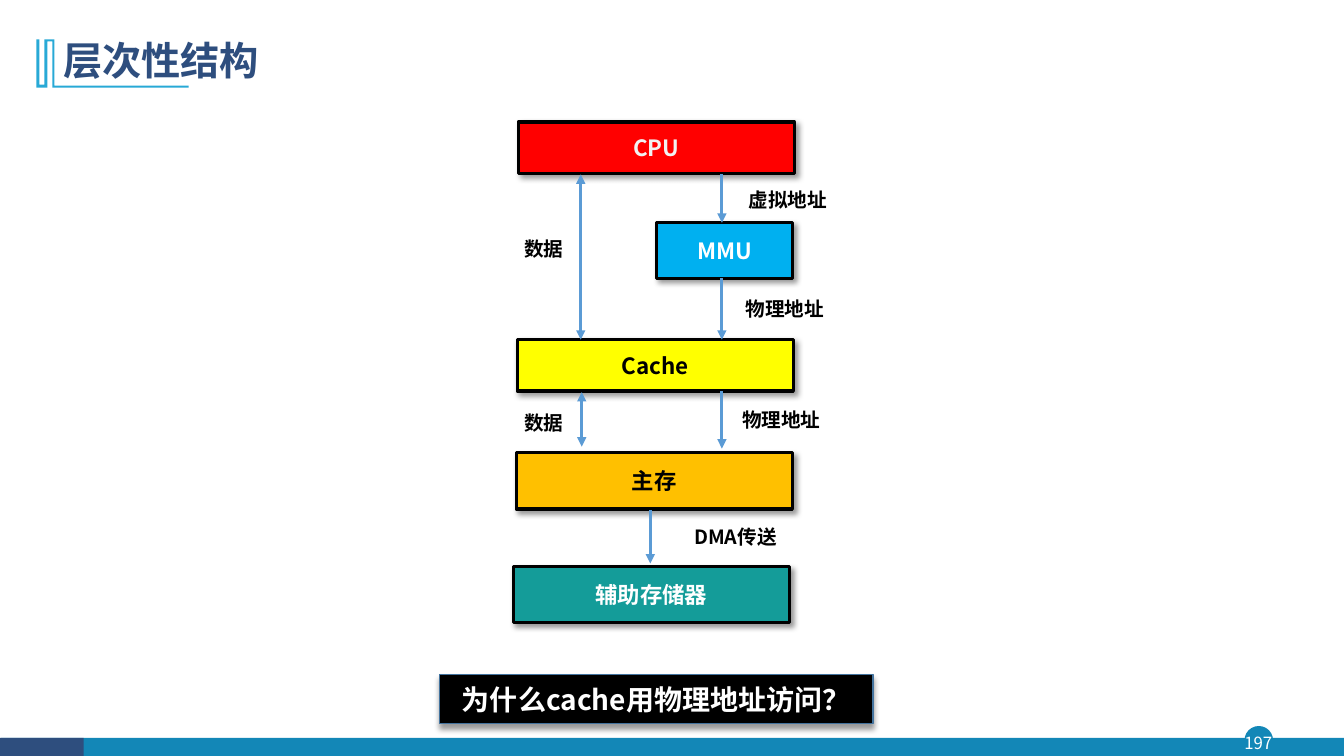
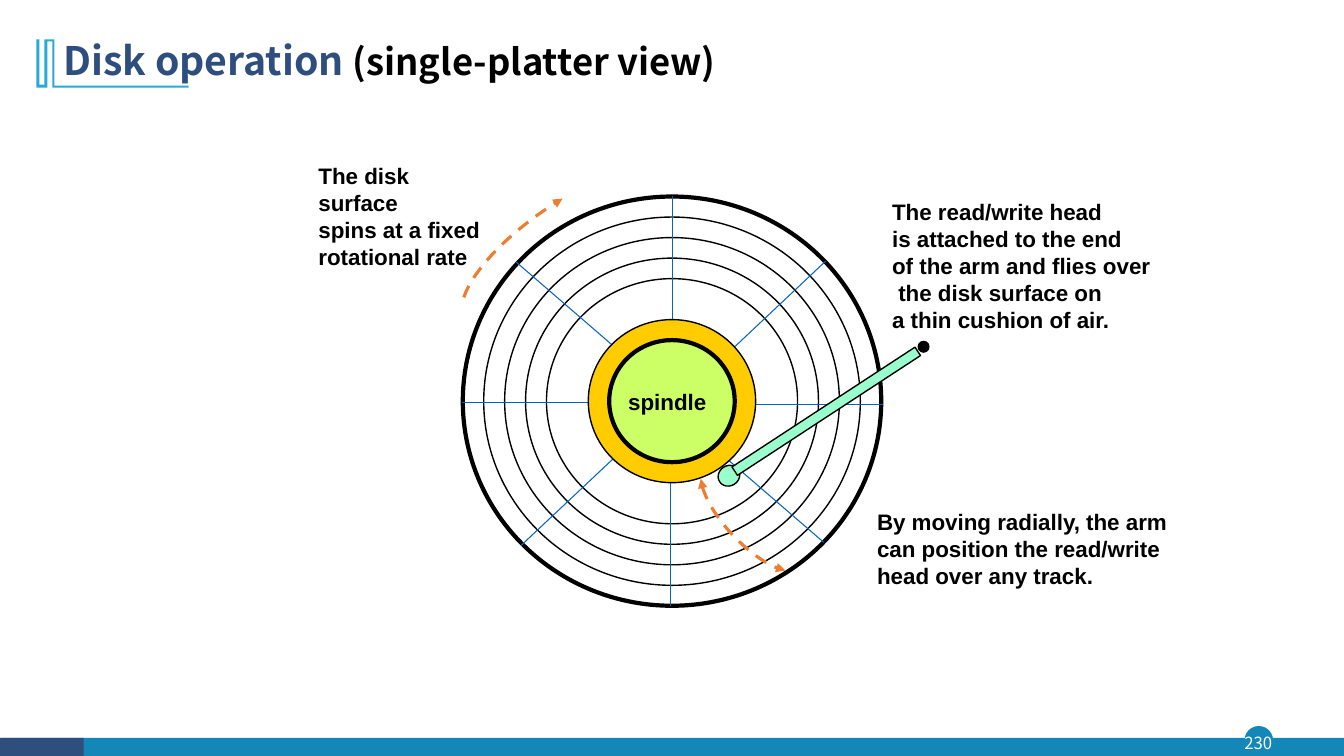
"""Builds two lecture slides: memory hierarchy and disk operation."""
import lxml.etree
import pptx
import pptx.dml.color
import pptx.enum.dml
import pptx.enum.shapes
import pptx.enum.text
import pptx.oxml.ns
import pptx.util

Inches, Pt = pptx.util.Inches, pptx.util.Pt
qn = pptx.oxml.ns.qn
SHAPE = pptx.enum.shapes.MSO_SHAPE
ALIGN = pptx.enum.text.PP_ALIGN
ANCHOR = pptx.enum.text.MSO_ANCHOR

CJK, LATIN = "Noto Sans CJK SC", "Arial"
COLORS = {
    "black": "000000", "white": "FFFFFF", "light": "F2F2F2",
    "navy": "2E4E7E", "footer": "1387B7", "emblem": "28A9D6",
    "cpu": "FF0000", "mmu": "00B0F0", "cache": "FFFF00",
    "memory": "FFC000", "storage": "149C99", "flow": "5B9BD5",
    "question": "43739E", "motion": "ED7D31", "sector": "0563C1",
    "hub": "FFCC00", "spindle": "CCFF66", "arm": "99FFCC",
}
EMBLEM = [
    (0.54, 0.39), (0.54, 0.85), (1.87, 0.85), (1.87, 0.87), (0.52, 0.87),
    (0.52, 0.41), (0.47, 0.41), (0.47, 0.87), (0.36, 0.87), (0.36, 0.39),
    (0.39, 0.39), (0.39, 0.84), (0.44, 0.84), (0.44, 0.39),
]


def rgb(color):
    """Return the named colour."""
    return pptx.dml.color.RGBColor.from_string(COLORS[color])


def set_outline(line, color, width):
    """Colour a line, or remove it when no colour is given."""
    if color is None:
        line.fill.background()
        return
    line.color.rgb = rgb(color)
    line.width = Pt(width)


def set_fill(fill, color):
    """Fill with a solid colour, or leave it open."""
    if color is None:
        fill.background()
    else:
        fill.solid()
        fill.fore_color.rgb = rgb(color)


def add_arrowheads(outline, ends):
    """Put triangles on the named ends of an a:ln element."""
    for end in ends:
        lxml.etree.SubElement(outline, qn(f"a:{end}"), type="triangle")


def add_drop_shadow(shape, angle):
    """Give a shape a soft black shadow falling at an angle in degrees."""
    effects = shape._element.spPr.find(qn("a:effectLst"))
    shadow = lxml.etree.SubElement(
        effects, qn("a:outerShdw"), blurRad=str(Pt(4)), dist=str(Pt(3)),
        dir=str(angle * 60000), algn="tl", rotWithShape="0")
    tint = lxml.etree.SubElement(shadow, qn("a:srgbClr"), val=COLORS["black"])
    lxml.etree.SubElement(tint, qn("a:alpha"), val="40000")


def set_font(paragraph, size, color, face, bold):
    """Set the paragraph font for Latin and East Asian letters."""
    font = paragraph.font
    font.size, font.bold, font.name = Pt(size), bold, face
    font.color.rgb = rgb(color)
    defaults = paragraph._p.pPr.find(qn("a:defRPr"))
    lxml.etree.SubElement(defaults, qn("a:ea"), typeface=face)


def write(shape, lines, size, color="black", face=CJK, bold=True,
          align=ALIGN.CENTER, anchor=ANCHOR.MIDDLE, wrap=True, inset=None):
    """Write one paragraph for each line into a shape."""
    frame = shape.text_frame
    frame.word_wrap, frame.vertical_anchor = wrap, anchor
    if inset is not None:
        frame.margin_left = frame.margin_right = Inches(inset)
        frame.margin_top = frame.margin_bottom = Inches(inset)
    frame.text = "\n".join(lines)
    for paragraph in frame.paragraphs:
        paragraph.alignment = align
        set_font(paragraph, size, color, face, bold)


def add_text(slide, place, lines, size, **style):
    """Add a text box."""
    box = slide.shapes.add_textbox(*map(Inches, place))
    write(box, lines, size, **style)
    return box


def add_shape(slide, kind, place, fill=None, outline=None, width=1, turn=0):
    """Add a flat preset shape."""
    shape = slide.shapes.add_shape(kind, *map(Inches, place))
    shape.shadow.inherit = False
    shape.rotation = turn
    set_fill(shape.fill, fill)
    set_outline(shape.line, outline, width)
    return shape


def add_outline(slide, points, closed):
    """Add a flat freeform through points."""
    corners = [(Inches(x), Inches(y)) for x, y in points]
    builder = slide.shapes.build_freeform(*corners[0], scale=1.0)
    builder.add_line_segments(corners[1:], close=closed)
    shape = builder.convert_to_shape()
    shape.shadow.inherit = False
    return shape


def add_line(slide, start, end, color, width, ends=()):
    """Add a straight line with optional arrowheads."""
    line = slide.shapes.add_connector(
        pptx.enum.shapes.MSO_CONNECTOR.STRAIGHT, *map(Inches, start + end))
    set_outline(line.line, color, width)
    add_arrowheads(line.line._get_or_add_ln(), ends)
    lxml.etree.SubElement(line._element.spPr, qn("a:effectLst"))


def bezier(a, b, c, d, steps=16):
    """Return points along a cubic curve."""
    points = []
    for step in range(steps + 1):
        t = step / steps
        weights = ((1 - t) ** 3, 3 * t * (1 - t) ** 2,
                   3 * t * t * (1 - t), t ** 3)
        points.append(tuple(sum(w * p[axis] for w, p in
                                zip(weights, (a, b, c, d)))
                            for axis in (0, 1)))
    return points


def add_motion(slide, points, ends):
    """Add a dashed curved arrow."""
    curve = add_outline(slide, points, closed=False)
    set_fill(curve.fill, None)
    set_outline(curve.line, "motion", 2.25)
    curve.line.dash_style = pptx.enum.dml.MSO_LINE.DASH
    add_arrowheads(curve.line._get_or_add_ln(), ends)


def add_block(slide, place, label, fill, color):
    """Add a framed, shadowed block of the hierarchy."""
    block = add_shape(slide, SHAPE.RECTANGLE, place, fill, "black", 2.25)
    add_drop_shadow(block, 45)
    write(block, [label], 16, color, inset=0)


def add_base(deck, number, title, subtitle=""):
    """Add a slide with its footer, emblem and title."""
    slide = deck.slides.add_slide(deck.slide_layouts[6])
    add_shape(slide, SHAPE.OVAL, (12.35, 7.21, 0.27, 0.27), "footer", "footer")
    add_shape(slide, SHAPE.RECTANGLE, (0.01, 7.32, 13.32, 0.19), "footer")
    add_shape(slide, SHAPE.RECTANGLE, (0, 7.32, 0.83, 0.19), "navy")
    add_text(slide, (12.32, 7.21, 0.32, 0.31), [number], 12,
             color="white", bold=False, inset=0)
    emblem = add_outline(slide, EMBLEM, closed=True)
    set_fill(emblem.fill, "emblem")
    set_outline(emblem.line, None, 0)
    heading = add_text(slide, (0.53, 0.28, 11.5, 0.68), [title], 28,
                       color="navy", align=ALIGN.LEFT)
    paragraph = heading.text_frame.paragraphs[0]
    paragraph.line_spacing = 0.9
    if subtitle:
        run = paragraph.add_run()
        run.text = subtitle
        run.font.size = Pt(26)
        run.font.color.rgb = rgb("black")
    return slide


def build_hierarchy(deck):
    """Build the memory hierarchy slide."""
    slide = add_base(deck, "197", "层次性结构")
    for place, label, fill, color in (
        ((5.14, 1.21, 2.74, 0.51), "CPU", "cpu", "light"),
        ((6.51, 2.21, 1.35, 0.55), "MMU", "mmu", "white"),
        ((5.13, 3.37, 2.74, 0.51), "Cache", "cache", "black"),
        ((5.12, 4.49, 2.74, 0.56), "主存", "memory", "black"),
        ((5.09, 5.62, 2.74, 0.56), "辅助存储器", "storage", "white"),
    ):
        add_block(slide, place, label, fill, color)
    one_way, two_way = ("tailEnd",), ("headEnd", "tailEnd")
    for x, top, bottom, ends in (
        (7.16, 1.73, 2.21, one_way), (7.16, 2.76, 3.37, one_way),
        (7.16, 3.88, 4.45, one_way), (6.45, 5.06, 5.59, one_way),
        (5.76, 1.73, 3.37, two_way), (5.77, 3.89, 4.43, two_way),
    ):
        add_line(slide, (x, top), (x, bottom), "flow", 2.25, ends)
    for place, label in (
        ((7.32, 1.82, 0.99, 0.33), "虚拟地址"),
        ((7.25, 2.9, 1.07, 0.33), "物理地址"),
        ((7.18, 4, 1.14, 0.33), "物理地址"),
        ((6.66, 5.16, 1.27, 0.34), "DMA传送"),
        ((5.04, 2.3, 0.71, 0.46), "数据"),
        ((5.04, 4.03, 0.71, 0.46), "数据"),
    ):
        add_text(slide, place, [label], 14, anchor=ANCHOR.TOP)
    question = add_shape(slide, SHAPE.RECTANGLE, (4.36, 6.69, 4.3, 0.49),
                         "black", "question")
    add_drop_shadow(question, 90)
    write(question, ["为什么cache用物理地址访问？"], 20, "white", inset=0)


def add_ring(slide, step, fill=None, width=1):
    """Add the concentric circle that lies some steps inside the rim."""
    across, down = 4.15 - 0.415 * step, 4.06 - 0.407 * step
    place = (6.665 - across / 2, 3.98 - down / 2, across, down)
    return add_shape(slide, SHAPE.OVAL, place, fill, "black", width)


def add_platter(slide):
    """Add the tracks, sector lines, hub and spindle."""
    add_ring(slide, 0, "white", 3)
    for step in range(1, 5):
        add_ring(slide, step)
    for start, end in (
        ((7.27, 4.01), (8.76, 4.01)), ((4.58, 3.99), (6.06, 3.99)),
        ((6.67, 1.94), (6.67, 3.37)), ((6.65, 4.58), (6.65, 6.01)),
        ((5.12, 2.6), (6.22, 3.55)), ((7.08, 4.44), (8.17, 5.38)),
        ((5.17, 5.41), (6.2, 4.44)), ((7.16, 3.56), (8.19, 2.59)),
    ):
        add_line(slide, start, end, "sector", 0.75)
    add_ring(slide, 6, "hub")
    spindle = add_ring(slide, 7, "spindle", 3)
    write(spindle, ["spindle"], 16, face=LATIN, align=ALIGN.RIGHT, wrap=False)


def build_disk(deck):
    """Build the disk operation slide."""
    slide = add_base(deck, "230", "Disk operation ", "(single-platter view)")
    for place, lines, wrap in (
        ((3.06, 1.56, 1.9, 1.17),
         ["The disk surface", "spins at a fixed", "rotational rate"], True),
        ((8.75, 1.92, 2.77, 1.43),
         ["The read/write head", "is attached to the end",
          "of the arm and flies over", " the disk surface on",
          "a thin cushion of air."], False),
        ((8.6, 4.99, 3.22, 0.9),
         ["By moving radially, the arm can position the read/write "
          "head over any track."], True),
    ):
        add_text(slide, place, lines, 16, face=LATIN, align=ALIGN.LEFT,
                 anchor=ANCHOR.TOP, wrap=wrap)
    add_motion(slide, bezier((4.6, 2.95), (4.7, 2.66), (5.08, 2.27),
                             (5.58, 1.97)), ("tailEnd",))
    add_platter(slide)
    add_shape(slide, SHAPE.OVAL, (9.1, 3.38, 0.12, 0.12), "black")
    add_shape(slide, SHAPE.OVAL, (7.12, 4.62, 0.22, 0.2), "arm", "black",
              turn=326.8)
    add_shape(slide, SHAPE.RECTANGLE, (7.11, 4.03, 2.17, 0.1), "arm", "black",
              turn=326.8)
    inner = bezier((6.95, 4.75), (6.97, 4.91), (7.09, 5.12), (7.27, 5.31))
    outer = bezier((7.27, 5.31), (7.44, 5.49), (7.64, 5.63), (7.79, 5.66))
    add_motion(slide, inner + outer[1:], ("headEnd", "tailEnd"))


def main():
    """Build and save the deck."""
    deck = pptx.Presentation()
    deck.slide_width, deck.slide_height = Inches(13.33), Inches(7.5)
    build_hierarchy(deck)
    build_disk(deck)
    deck.save("out.pptx")


if __name__ == "__main__":
    main()
